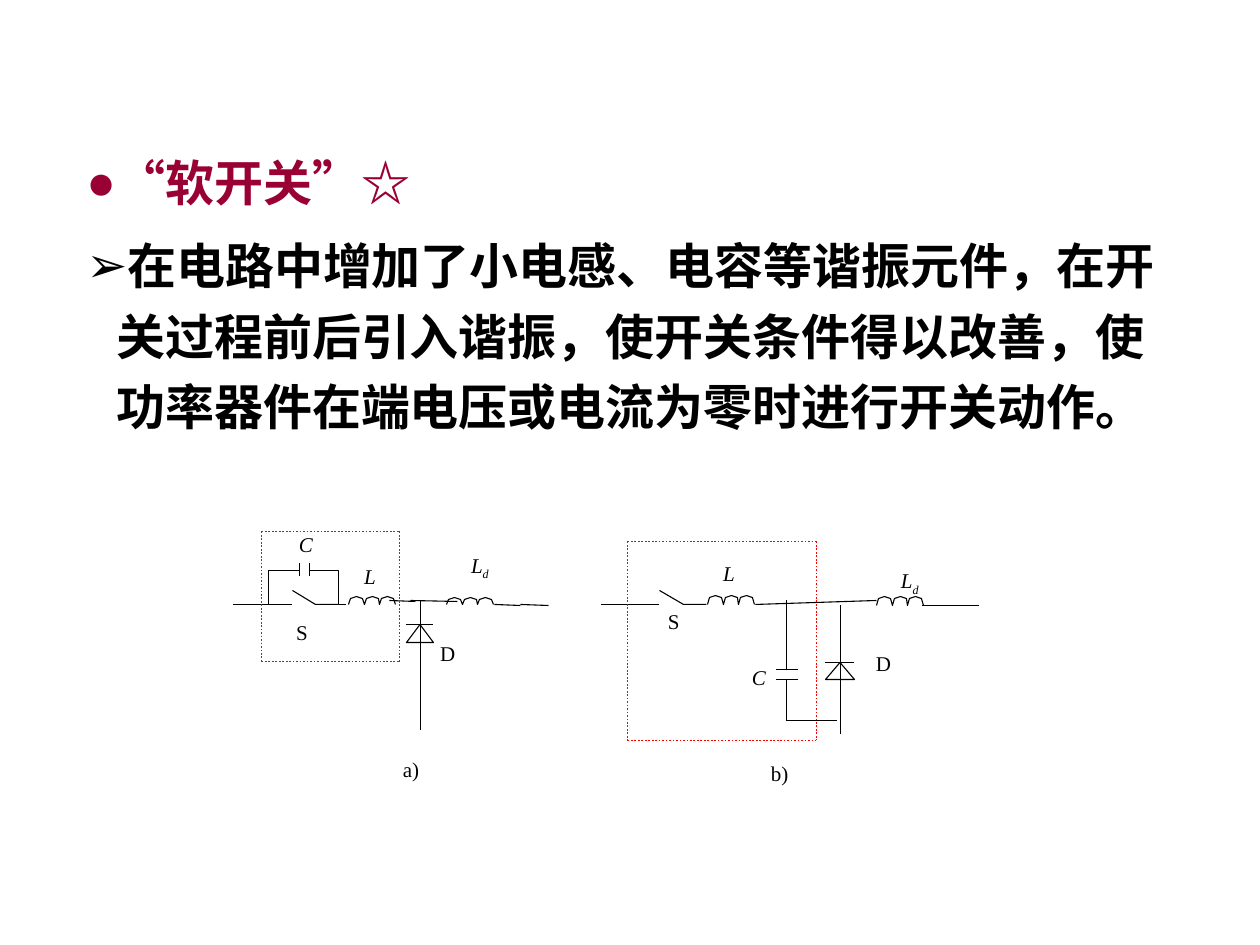
from lxml import etree
from pptx import Presentation
from pptx.dml.color import RGBColor
from pptx.enum.dml import MSO_LINE
from pptx.enum.shapes import MSO_CONNECTOR
from pptx.enum.text import MSO_AUTO_SIZE
from pptx.oxml.ns import qn
from pptx.util import Pt

STRAIGHT = MSO_CONNECTOR.STRAIGHT
DOTTED = MSO_LINE.ROUND_DOT
FIT = MSO_AUTO_SIZE.SHAPE_TO_FIT_TEXT
SCALE = 914400 / 126
HALF = 0.5
COLORS = {"ink": "000000", "heading": "990033", "frame": "FF0000", "paper": "FFFFFF"}
BODY, SYMBOL, LABEL = "Arial", "Noto Sans CJK SC", "Times New Roman"

HEADING = [("“软开关”", BODY), ("☆", SYMBOL)]
DETAIL = [("在电路中增加了小电感、电容等谐振元件，在开关过程前后引入谐振，"
           "使开关条件得以改善，使功率器件在端电压或电流为零时进行开关动作。", BODY)]

SERIES = {
    "box": (233, 532, 315, 250),
    "frame": (28, 0, 166, 130),
    "diode": (173, 93, 27, 18),
    "wires": [(0, 73, 35, 73), (35, 73, 59, 73), (76, 32, 76, 45), (66, 32, 66, 45),
              (76, 39, 96, 39), (66, 39, 45, 39), (187, 69, 187, 199),
              (156, 69, 182, 70), (177, 69, 224, 70),
              (261, 73, 287, 74), (287, 73, 315, 74)],
    "paths": [[(59, 59), (82, 73), (105, 73)], [(49, 39), (35, 39), (35, 73)],
              [(92, 39), (105, 39), (105, 73), (113, 73)]],
    "coils": [(115, 65, 47, 8), (213, 66, 47, 7)],
    "labels": [("S", 63, 88), ("L", 131, 32), ("C", 66, 0), ("D", 207, 109),
               ("Ld", 238, 20), ("a)", 170, 225)],
}
PARALLEL = {
    "box": (601, 542, 378, 244),
    "frame": (26, 0, 215, 199),
    "diode": (224, 121, 29, 17),
    "wires": [(0, 63, 34, 63), (34, 63, 58, 63), (197, 138, 175, 138),
              (197, 128, 175, 128), (185, 138, 185, 179), (185, 128, 185, 59),
              (239, 64, 239, 102), (239, 98, 239, 167), (239, 164, 239, 193),
              (154, 63, 275, 59), (321, 64, 350, 64), (350, 64, 378, 64),
              (185, 179, 236, 179)],
    "paths": [[(58, 49), (82, 63), (105, 63)]],
    "coils": [(106, 54, 47, 9), (275, 55, 47, 9)],
    "labels": [("S", 67, 67), ("D", 275, 109), ("L", 122, 19), ("Ld", 300, 26),
               ("C", 151, 123), ("b)", 170, 219)],
}


def px(n):
    return round(n * SCALE)


def pen(x, y):
    return px(x + HALF), px(y - HALF)


def rgb(name):
    return RGBColor.from_string(COLORS[name])


def add_run(p, text, font, size, color, east=None, bold=False, italic=False):
    r = p.add_run()
    r.text = text
    r.font.name = font
    r.font.size = Pt(size)
    r.font.bold = bold
    r.font.italic = italic
    r.font.color.rgb = rgb(color)
    if east:
        rPr = r._r.get_or_add_rPr()
        rPr.set("lang", "zh-CN")
        etree.SubElement(rPr, qn("a:ea")).set("typeface", east)
    return r


def add_bullet(p, char, color, indent):
    pPr = p._p.get_or_add_pPr()
    pPr.set("marL", str(px(indent)))
    pPr.set("indent", str(-px(indent)))
    clr = etree.SubElement(pPr, qn("a:buClr"))
    etree.SubElement(clr, qn("a:srgbClr")).set("val", COLORS[color])
    etree.SubElement(pPr, qn("a:buFont")).set("typeface", BODY)
    etree.SubElement(pPr, qn("a:buChar")).set("char", char)


def add_body(s, box):
    tf = s.shapes.add_textbox(*map(px, box)).text_frame
    tf.word_wrap = True
    tf.auto_size = FIT
    items = [("●", "heading", HEADING), ("➢", "ink", DETAIL)]
    for i, (char, color, runs) in enumerate(items):
        p = tf.add_paragraph() if i else tf.paragraphs[0]
        add_bullet(p, char, color, 30)
        p.line_spacing = 1.2
        p.space_before = Pt(7 if i else 0)
        for text, font in runs:
            add_run(p, text, font, 28, color, east=SYMBOL, bold=True)


def add_line(shapes, x1, y1, x2, y2, color="ink", width=0.62, dash=None):
    sp = shapes.add_connector(STRAIGHT, *pen(x1, y1), *pen(x2, y2))
    sp.line.color.rgb = rgb(color)
    sp.line.width = Pt(width)
    if dash:
        sp.line.dash_style = dash
    etree.SubElement(sp._element.spPr, qn("a:effectLst"))


def add_outline(shapes, points, closed=False):
    pts = [pen(x, y) for x, y in points]
    fb = shapes.build_freeform(*pts[0], scale=1.0)
    fb.add_line_segments(pts[1:], close=closed)
    sp = fb.convert_to_shape()
    sp.shadow.inherit = False
    if closed:
        sp.fill.solid()
        sp.fill.fore_color.rgb = rgb("paper")
    else:
        sp.fill.background()
    sp.line.color.rgb = rgb("ink")
    sp.line.width = Pt(0.62)


def add_coil(shapes, x, y, w, h):
    bump = [(0, h), (2, 2), (8, 0), (14, 2)]
    points = [(x + round(w * i / 3) + dx, y + dy) for i in range(3) for dx, dy in bump]
    add_outline(shapes, points + [(x + w, y + h)])


def add_diode(shapes, x, y, w, h):
    add_line(shapes, x, y, x + w, y)
    add_outline(shapes, [(x + w / 2, y), (x, y + h), (x + w, y + h)], closed=True)


def add_label(shapes, text, x, y):
    w, h = (20, 29) if text == "Ld" else (8 + 8 * len(text), 25)
    tf = shapes.add_textbox(px(x), px(y), px(w), px(h)).text_frame
    tf.margin_left = tf.margin_right = tf.margin_top = tf.margin_bottom = 0
    tf.word_wrap = False
    tf.auto_size = FIT
    p = tf.paragraphs[0]
    if text == "Ld":
        add_run(p, "L", LABEL, 12, "ink", italic=True)
        r = add_run(p, "d", LABEL, 12, "ink", italic=True)
        r._r.get_or_add_rPr().set("baseline", "-25000")
    else:
        add_run(p, text, LABEL, 12, "ink", italic=text in "LC")


def add_circuit(s, parts):
    left, top = parts["box"][:2]
    shapes = s.shapes.add_group_shape().shapes
    add_diode(shapes, left + parts["diode"][0], top + parts["diode"][1], *parts["diode"][2:])
    for x1, y1, x2, y2 in parts["wires"]:
        add_line(shapes, left + x1, top + y1, left + x2, top + y2)
    for path in parts["paths"]:
        add_outline(shapes, [(left + x, top + y) for x, y in path])
    for x, y, w, h in parts["coils"]:
        add_coil(shapes, left + x, top + y, w, h)
    for text, x, y in parts["labels"]:
        add_label(shapes, text, left + x, top + y)
    x1, y1, x2, y2 = parts["frame"]
    for a, b, c, d in [(x1, y1, x2, y1), (x2, y1, x2, y2), (x1, y2, x2, y2), (x1, y1, x1, y2)]:
        add_line(shapes, left + a, top + b, left + c, top + d, "frame", 1, DOTTED)


def main():
    prs = Presentation()
    prs.slide_width, prs.slide_height = px(1260), px(945)
    s = prs.slides.add_slide(prs.slide_layouts[6])
    add_body(s, (74, 135, 1101, 307))
    for parts in (SERIES, PARALLEL):
        add_circuit(s, parts)
    prs.save("out.pptx")


if __name__ == "__main__":
    main()
